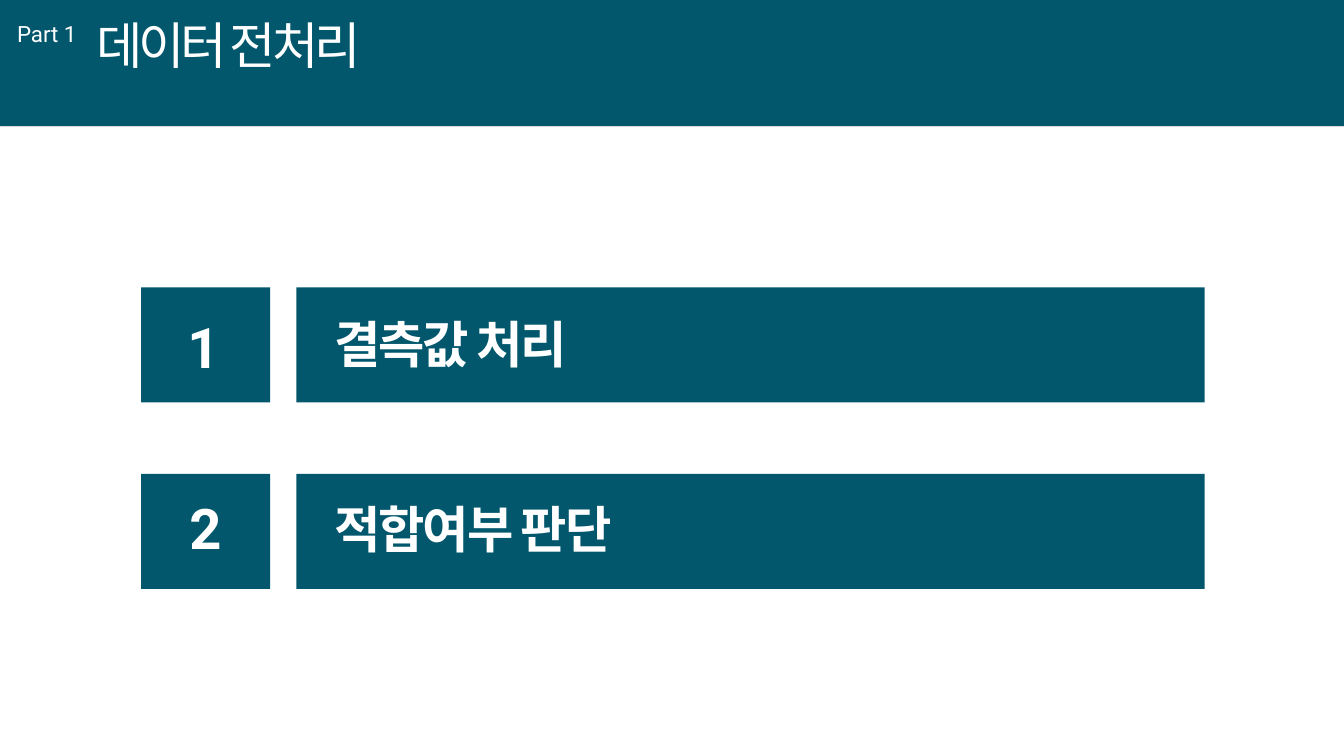
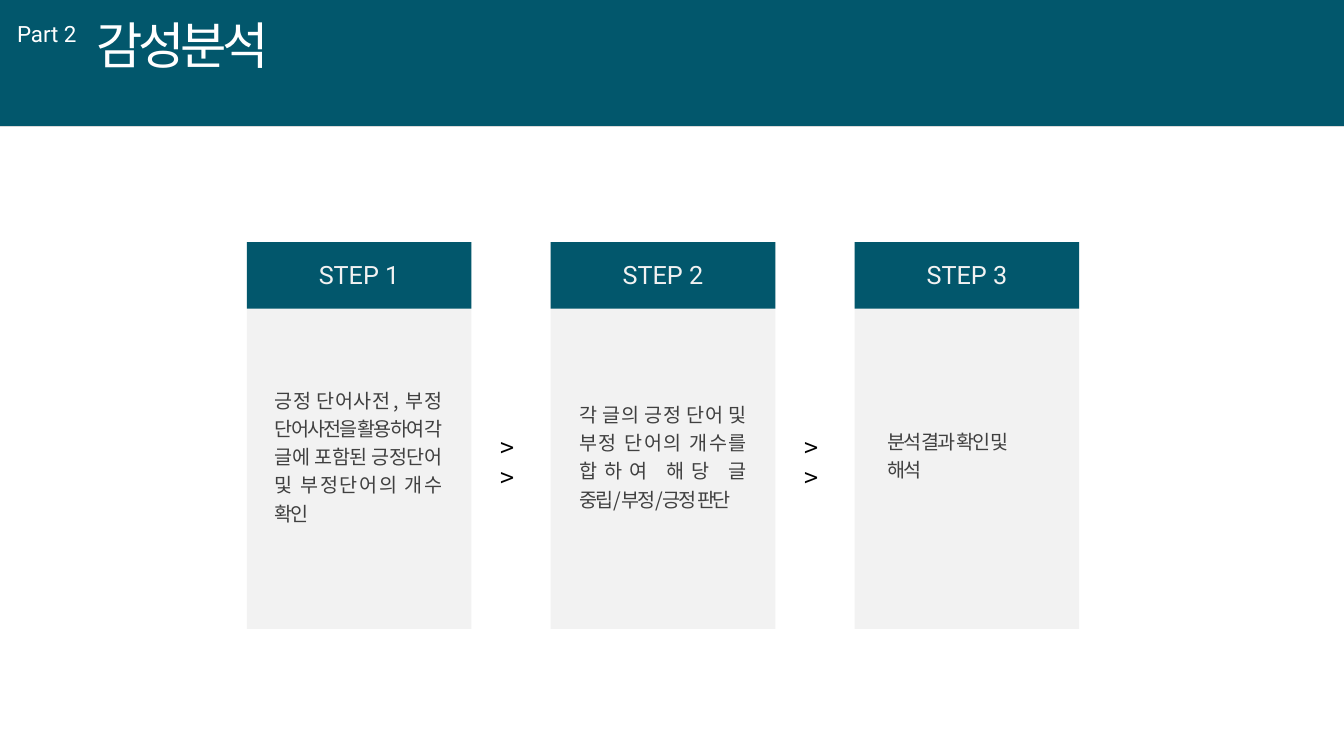
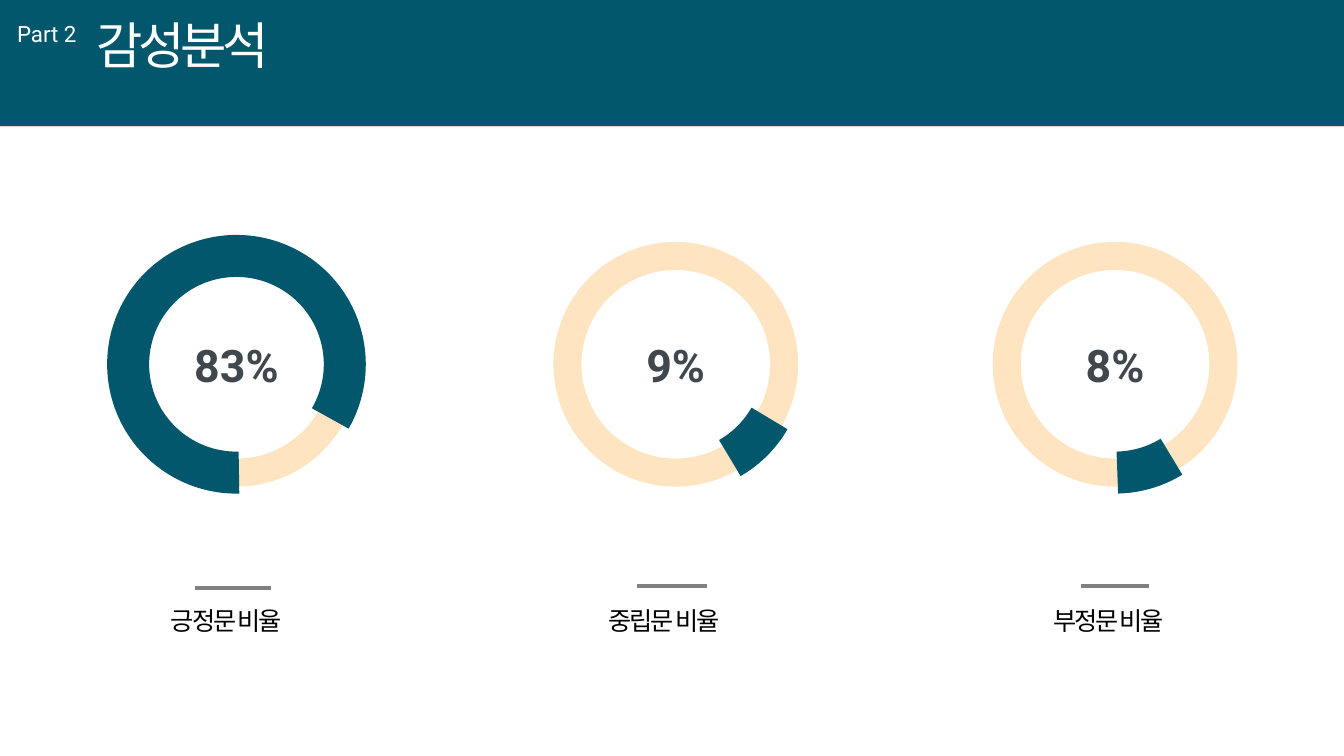
from pptx import Presentation
from pptx.dml.color import RGBColor
from pptx.enum.shapes import MSO_CONNECTOR, MSO_SHAPE
from pptx.enum.text import MSO_AUTO_SIZE, PP_ALIGN
from pptx.oxml.ns import qn
from pptx.util import Cm, Pt

RECT, ARC = MSO_SHAPE.RECTANGLE, MSO_SHAPE.ARC
STRAIGHT = MSO_CONNECTOR.STRAIGHT
LEFT, CENTER, JUSTIFY = PP_ALIGN.LEFT, PP_ALIGN.CENTER, PP_ALIGN.JUSTIFY
FIT = MSO_AUTO_SIZE.SHAPE_TO_FIT_TEXT

SLIDE_W, SLIDE_H, BAND_H = 33.87, 19.05, 3.18
KOREAN, LATIN = "Noto Sans CJK KR", "Roboto"
COLORS = {
    "teal": "02576C",
    "peach": "FEE4C1",
    "white": "FFFFFF",
    "black": "000000",
    "panel": "F2F2F2",
    "rule": "D9D9D9",
    "dash": "808080",
    "body": "404040",
    "percent": "40474D",
}


def rgb(name):
    return RGBColor.from_string(COLORS[name])


class Deck:
    """Holds the shared style and the slide being filled; lengths are in cm."""

    def __init__(self):
        self.prs = Presentation()
        self.prs.slide_width, self.prs.slide_height = Cm(SLIDE_W), Cm(SLIDE_H)
        self.slide = None

    def new_slide(self, part, title, title_w):
        self.slide = self.prs.slides.add_slide(self.prs.slide_layouts[6])
        self.rect(0, 0, SLIDE_W, BAND_H, "teal")
        self.line(0, SLIDE_W, BAND_H, "rule", 0.5)
        self.text(title, 2.18, 0.23, title_w, 1.8, 36, "white", spacing=-3)
        self.text(part, 0.18, 0.38, 2.18, 0.94, 16, "white", LATIN)

    def rect(self, x, y, w, h, color):
        sp = self.slide.shapes.add_shape(RECT, Cm(x), Cm(y), Cm(w), Cm(h))
        sp.shadow.inherit = False
        sp.fill.solid()
        sp.fill.fore_color.rgb = rgb(color)
        sp.line.fill.background()

    def arc(self, x, y, size, start, end, color, width, rotation=0):
        """Draw an arc clockwise between two angles in degrees."""
        sp = self.slide.shapes.add_shape(ARC, Cm(x), Cm(y), Cm(size), Cm(size))
        sp.shadow.inherit = False
        sp.rotation = rotation
        for i, angle in enumerate((start, end)):
            sp.adjustments[i] = angle * 0.6  # 60000 units a degree, over 100000
        sp.fill.background()
        sp.line.color.rgb = rgb(color)
        sp.line.width = Pt(width)

    def line(self, x1, x2, y, color, width):
        c = self.slide.shapes.add_connector(STRAIGHT, Cm(x1), Cm(y), Cm(x2), Cm(y))
        c.line.color.rgb = rgb(color)
        c.line.width = Pt(width)
        sp_pr = c._element.spPr
        sp_pr.append(sp_pr.makeelement(qn("a:effectLst"), {}))

    def text(self, text, x, y, w, h, size, color, font=KOREAN, bold=False,
             align=LEFT, spacing=0, wrap=False, line_spacing=None):
        """Add a text box; each line of the text is a paragraph."""
        tf = self.slide.shapes.add_textbox(Cm(x), Cm(y), Cm(w), Cm(h)).text_frame
        tf.word_wrap = wrap
        tf.auto_size = FIT
        tf.text = text
        for p in tf.paragraphs:
            p.alignment = align
            p.line_spacing = line_spacing
            p.font.size, p.font.bold, p.font.name = Pt(size), bold, font
            p.font.color.rgb = rgb(color)
            for r in p.runs:
                r_pr = r._r.get_or_add_rPr()
                if spacing:
                    r_pr.set("spc", str(round(spacing * 100)))
                r.font.size, r.font.bold, r.font.name = Pt(size), bold, font
                r.font.color.rgb = rgb(color)
                r_pr.append(r_pr.makeelement(qn("a:ea"), {"typeface": font}))


def preprocessing(deck):
    deck.new_slide("Part 1", "데이터 전처리", 7.9)
    rows = [
        ("1", "결측값 처리", 7.24, 4.47, 7.75, 7.77, 7.06),
        ("2", "적합여부 판단", 11.94, 4.52, 12.32, 12.42, 8.28),
    ]
    for number, label, top, number_x, number_y, label_y, label_w in rows:
        deck.rect(3.56, top, 3.25, 2.9, "teal")
        deck.rect(7.47, top, 22.89, 2.9, "teal")
        deck.text(number, number_x, number_y, 1.32, 1.96, 40, "white", LATIN,
                  bold=True, align=CENTER)
        deck.text(label, 8.18, label_y, label_w, 1.8, 36, "white",
                  bold=True, spacing=-1.5)


def sentiment_steps(deck):
    deck.new_slide("Part 2", "감성분석", 5.21)
    top, card_w, pitch = 6.1, 5.66, 7.66
    steps = [
        ("긍정 단어사전, 부정 단어사전을 활용하여 각 글에 포함된 긍정단어 및 "
         "부정단어의 개수 확인", 0.46, 9.55, 3.78),
        ("각 글의 긍정 단어 및 부정 단어의 개수를 합하여 해당 글 "
         "중립/부정/긍정 판단", 0.47, 9.91, 3.05),
        ("분석 결과 확인 및 \n해석", 0.58, 10.59, 1.63),
    ]
    for i, (body, inset, body_y, body_h) in enumerate(steps):
        x = 6.22 + i * pitch
        deck.rect(x, top, card_w, 9.75, "panel")
        deck.rect(x, top, card_w, 1.68, "teal")
        deck.text(f"STEP {i + 1}", x + 1.52, 6.4, 2.62, 1.02, 18, "panel",
                  LATIN, align=CENTER)
        deck.text(body, x + inset, body_y, 4.67, body_h, 14, "body",
                  align=JUSTIFY, spacing=-1.5, wrap=True, line_spacing=1.2)
        if i < len(steps) - 1:
            deck.text(">>", x + 6.14, 10.77, 1.09, 1.02, 18, "black", wrap=True)


def sentiment_ratios(deck):
    deck.new_slide("Part 2", "감성분석", 5.21)
    size, pitch, percent_w = 5.46, 11.07, 2.8
    ratios = [
        ("83%", "긍정문 비율", (257.15, 359.11), (88.67, 30), 4.06, (4.91, 6.82), 14.82),
        ("9%", "중립문 비율", (324.39, 307.47), (30.02, 60), 15.09, (16.05, 17.81), 14.76),
        ("8%", "부정문 비율", (354.99, 343.85), (58.58, 88.75), 26.29, (27.23, 28.96), 14.76),
    ]
    for i, (percent, label, rest, share, label_x, dash, dash_y) in enumerate(ratios):
        x = 3.23 + i * pitch
        deck.arc(x, 6.45, size, *rest, "peach", 20, rotation=90)
        deck.arc(x, 6.45, size, *share, "teal", 30)
        deck.text(percent, x + (size - percent_w) / 2, 8.38, percent_w, 1.63, 32,
                  "percent", LATIN, bold=True, align=CENTER)
        deck.line(*dash, dash_y, "dash", 3)
        deck.text(label, label_x, 15.14, 3.63, 1.02, 18, "black", spacing=-1.5)


def main():
    deck = Deck()
    preprocessing(deck)
    sentiment_steps(deck)
    sentiment_ratios(deck)
    deck.prs.save("out.pptx")


if __name__ == "__main__":
    main()
